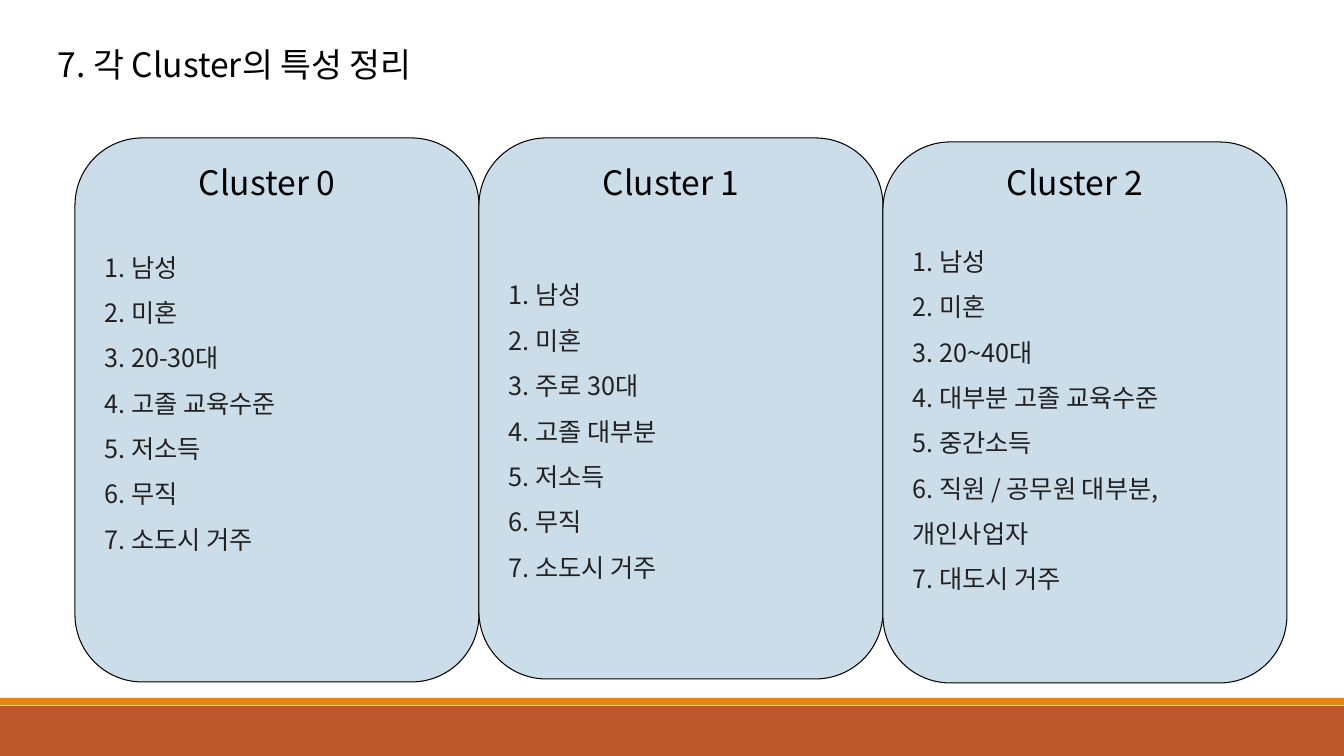
from lxml import etree
from pptx import Presentation
from pptx.dml.color import RGBColor
from pptx.enum.shapes import MSO_SHAPE
from pptx.enum.text import MSO_ANCHOR, MSO_AUTO_SIZE
from pptx.oxml.ns import qn
from pptx.util import Emu, Pt

RECT, ROUNDED = MSO_SHAPE.RECTANGLE, MSO_SHAPE.ROUNDED_RECTANGLE
MIDDLE, GROW = MSO_ANCHOR.MIDDLE, MSO_AUTO_SIZE.SHAPE_TO_FIT_TEXT

# Content
TITLE = "7. 각 Cluster의 특성 정리"
CLUSTERS = [
    {"name": "Cluster 0", "top": 138, "height": 544, "pad_top": 5, "pad_bottom": 34,
     "traits": ["남성", "미혼", "20-30대", "고졸 교육수준", "저소득", "무직", "소도시 거주"]},
    {"name": "Cluster 1", "top": 138, "height": 541, "pad_top": 35, "pad_bottom": 5,
     "traits": ["남성", "미혼", "주로 30대", "고졸 대부분", "저소득", "무직", "소도시 거주"]},
    {"name": "Cluster 2", "top": 142, "height": 541, "pad_top": 5, "pad_bottom": 5,
     "traits": ["남성", "미혼", "20~40대", "대부분 고졸 교육수준", "중간소득",
                "직원 / 공무원 대부분, 개인사업자", "대도시 거주"]},
]
FOOTER_BANDS = [(706, 50, "BD582C"), (698, 7, "E48312")]  # top, height, colour

# Layout in px
SLIDE_W, SLIDE_H = 1344, 756
CARD_LEFT, CARD_W = 75, 404
NAME_OFFSET, NAME_TOP, NAME_W, HEADING_H = 114, 157, 178, 50
FONT = "Noto Sans CJK KR"
HEADING = {"size": Pt(24), "color": "000000"}
TRAIT = {"size": Pt(18), "color": "212121"}


def px(length):
    return Emu(round(length * 914400 / 100.8))


def rgb(value):
    return RGBColor.from_string(value)


def write(paragraph, text, style):
    run = paragraph.add_run()
    run.text = text
    run.font.name = FONT
    run.font.size = style["size"]
    run.font.color.rgb = rgb(style["color"])
    east_asian = etree.SubElement(run.font._element, qn("a:ea"))
    east_asian.set("typeface", FONT)


def add_heading(text, left, top, width):
    box = slide.shapes.add_textbox(px(left), px(top), px(width), px(HEADING_H))
    box.text_frame.word_wrap = True
    box.text_frame.auto_size = GROW
    write(box.text_frame.paragraphs[0], text, HEADING)


def add_panel(kind, left, top, width, height, fill, line=None):
    panel = slide.shapes.add_shape(kind, px(left), px(top), px(width), px(height))
    panel.shadow.inherit = False
    panel.fill.solid()
    panel.fill.fore_color.rgb = rgb(fill)
    if line:
        panel.line.color.rgb = rgb(line)
        panel.line.width = Pt(0.75)
    else:
        panel.line.fill.background()
    return panel


def add_traits(frame, cluster):
    settings = {
        "word_wrap": True, "vertical_anchor": MIDDLE,
        "margin_top": px(cluster["pad_top"]), "margin_bottom": px(cluster["pad_bottom"]),
    }
    for name, value in settings.items():
        setattr(frame, name, value)
    for index, trait in enumerate(cluster["traits"]):
        paragraph = frame.add_paragraph() if index else frame.paragraphs[0]
        paragraph.line_spacing = 1.5
        properties = paragraph._p.get_or_add_pPr()
        for name, value in {"algn": "l", "marL": "0", "indent": "0"}.items():
            properties.set(name, value)
        etree.SubElement(properties, qn("a:buAutoNum")).set("type", "arabicPeriod")
        write(paragraph, " " + trait, TRAIT)


deck = Presentation()
deck.slide_width, deck.slide_height = px(SLIDE_W), px(SLIDE_H)
slide = deck.slides.add_slide(deck.slide_layouts[6])

# Footer bands and title
for band_top, band_height, colour in FOOTER_BANDS:
    add_panel(RECT, 0, band_top, SLIDE_W, band_height, colour)
add_heading(TITLE, 48, 39, 1078)

# Cluster cards, side by side
for column, cluster in enumerate(CLUSTERS):
    card_left = CARD_LEFT + column * CARD_W
    card = add_panel(ROUNDED, card_left, cluster["top"], CARD_W, cluster["height"],
                     "CCDDEA", "000000")
    add_traits(card.text_frame, cluster)
    add_heading(cluster["name"], card_left + NAME_OFFSET, NAME_TOP, NAME_W)

deck.save("out.pptx")
